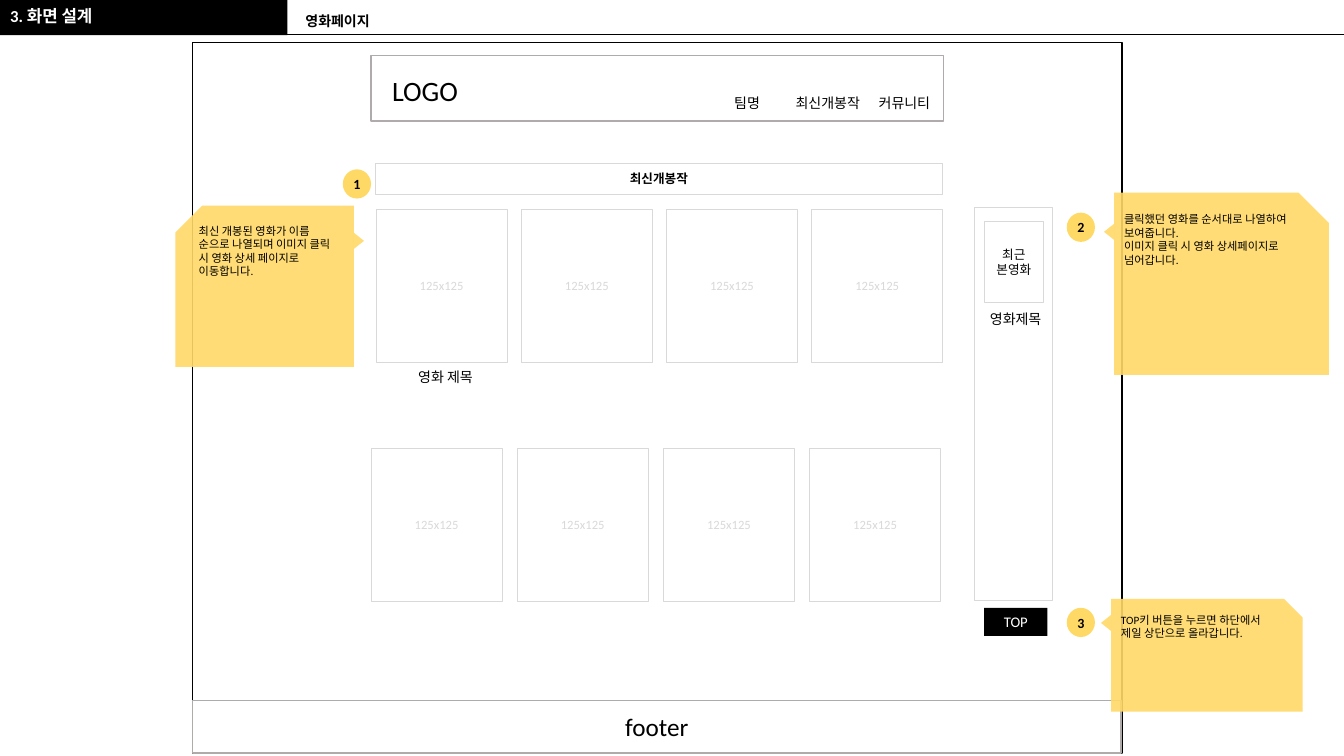
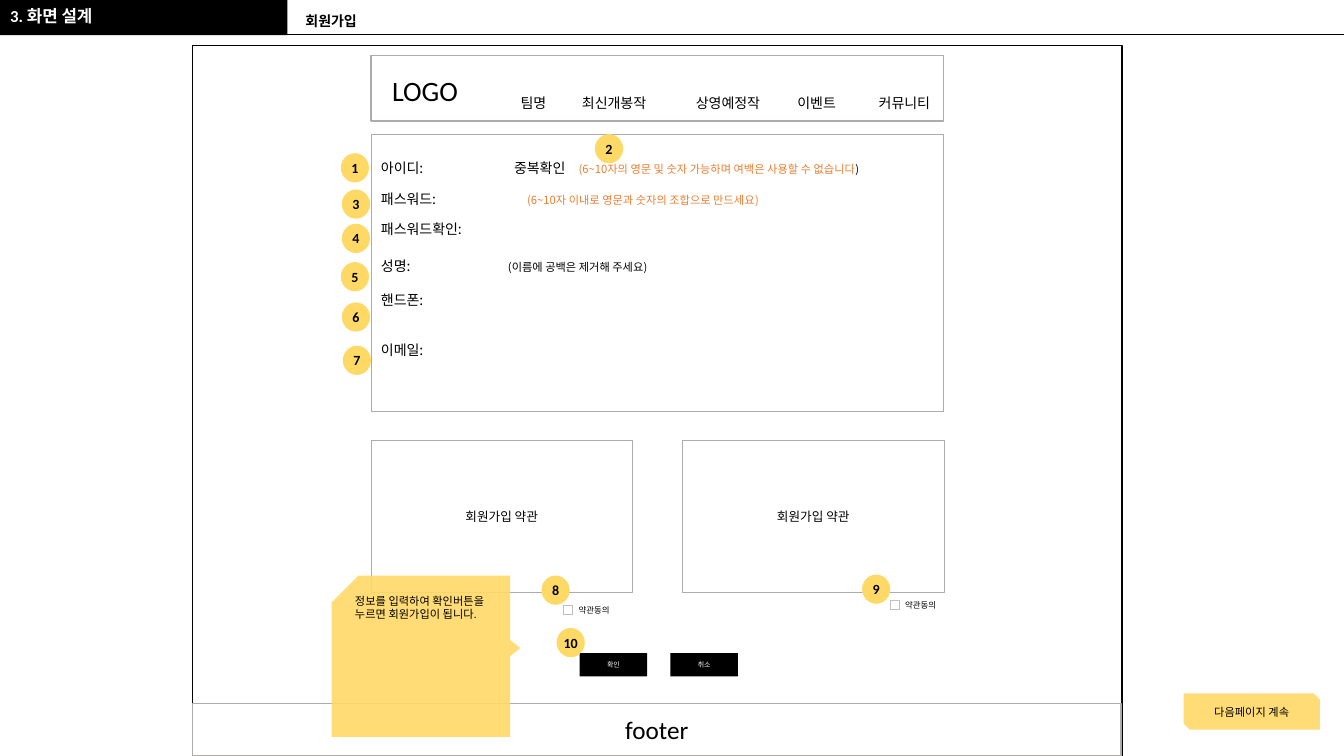
from lxml.etree import SubElement
from pptx import Presentation
from pptx.dml.color import RGBColor
from pptx.enum.shapes import MSO_CONNECTOR, MSO_SHAPE
from pptx.enum.text import MSO_ANCHOR, MSO_AUTO_SIZE, PP_ALIGN
from pptx.oxml.ns import qn
from pptx.util import Inches, Pt

BLACK = RGBColor(0x00, 0x00, 0x00)
WHITE = RGBColor(0xFF, 0xFF, 0xFF)
YELLOW = RGBColor(0xFF, 0xD9, 0x66)
ORANGE = RGBColor(0xED, 0x7D, 0x31)
GRAY = RGBColor(0xAF, 0xAB, 0xAB)
MID_GRAY = RGBColor(0xBF, 0xBF, 0xBF)
LIGHT_GRAY = RGBColor(0xD9, 0xD9, 0xD9)

LATIN = "Calibri"
KOREAN = "Noto Sans CJK KR"
SECTION = "3. 화면 설계"
SECTION_BOX = (0, 0.03, 2.85, 0.32)
PAGE_BOX = (2.93, 0.09, 8.57, 0.26)


class WireframeDeck:
    """Style of the wireframe slides and the slide being drawn."""

    def __init__(self):
        """Open a wide presentation and set up its layout."""
        self.prs = Presentation()
        self.prs.slide_width, self.prs.slide_height = Inches(13.33), Inches(7.5)
        self.layout = self.prs.slide_layouts[1]
        self.slide = None
        for placeholder in list(self.layout.placeholders):
            idx = placeholder.placeholder_format.idx
            if idx > 1:
                placeholder.element.getparent().remove(placeholder.element)
            else:
                box = SECTION_BOX if idx else PAGE_BOX
                (placeholder.left, placeholder.top,
                 placeholder.width, placeholder.height) = map(Inches, box)

    def new_slide(self, page_name):
        """Start a slide with its section and page name."""
        self.slide = self.prs.slides.add_slide(self.layout)
        if len(self.prs.slides) == 1:
            self.add_banner_to_layout()
        page, section = self.slide.placeholders
        self.heading(page, page_name, 10, BLACK)
        self.heading(section, SECTION, 12, WHITE)

    def add_banner_to_layout(self):
        """Put the black band and the rule on the shared layout."""
        band = self.shape((0, 0, 2.85, 0.35), BLACK)
        rule = self.slide.shapes.add_connector(
            MSO_CONNECTOR.STRAIGHT, Inches(2.76), Inches(0.34), Inches(13.33), Inches(0.34))
        rule.line.color.rgb = BLACK
        rule.line.width = Pt(0.5)
        SubElement(rule.element.spPr, qn("a:effectLst"))
        for part in (band, rule):
            self.layout.shapes.element.append(part.element)

    def heading(self, placeholder, text, size, color):
        """Fill a placeholder with one bold line without a bullet."""
        frame = placeholder.text_frame
        frame.auto_size = MSO_AUTO_SIZE.NONE
        frame.vertical_anchor = MSO_ANCHOR.TOP
        self.put_text(frame, [text], size, color, bold=True, align=PP_ALIGN.LEFT)
        paragraph = frame.paragraphs[0]
        paragraph.line_spacing = 0.9
        paragraph.space_before = Pt(10)
        properties = placeholder.element.find(".//" + qn("a:pPr"))
        properties.set("marL", "0")
        properties.set("indent", "0")
        SubElement(properties, qn("a:buNone"))

    def put_text(self, frame, paragraphs, size, color=BLACK, bold=False,
                 align=PP_ALIGN.CENTER, font=LATIN):
        """Fill in paragraphs, each a string or a list of (text, color) runs."""
        for index, content in enumerate(paragraphs):
            paragraph = frame.add_paragraph() if index else frame.paragraphs[0]
            paragraph.alignment = align
            runs = [(content, color)] if isinstance(content, str) else content
            for text, run_color in runs:
                run = paragraph.add_run()
                run.text = text
                run.font.size = Pt(size)
                run.font.bold = bold
                run.font.color.rgb = run_color
                run.font.name = font
                SubElement(run._r.get_or_add_rPr(), qn("a:ea")).set("typeface", KOREAN)

    def shape(self, box, fill=WHITE, line=None, width=0.25, kind=MSO_SHAPE.RECTANGLE,
              text=None, size=9, color=BLACK, bold=False):
        """Draw a preset shape with optional centred text."""
        shape = self.slide.shapes.add_shape(kind, *map(Inches, box))
        shape.shadow.inherit = False
        shape.fill.solid()
        shape.fill.fore_color.rgb = fill
        if line is None:
            shape.line.fill.background()
        else:
            shape.line.color.rgb = line
            shape.line.width = Pt(width)
        if text:
            shape.text_frame.word_wrap = True
            shape.text_frame.vertical_anchor = MSO_ANCHOR.MIDDLE
            self.put_text(shape.text_frame, [text], size, color, bold)
        return shape

    def label(self, left, top, content, size=10, width=1.0, height=0.27,
              align=PP_ALIGN.LEFT, font=LATIN):
        """Add one line of free text."""
        box = self.slide.shapes.add_textbox(*map(Inches, (left, top, width, height)))
        box.text_frame.word_wrap = True
        box.text_frame.vertical_anchor = MSO_ANCHOR.MIDDLE
        self.put_text(box.text_frame, [content], size, align=align, font=font)

    def sticker(self, box, kind, **text):
        """Draw a slightly transparent yellow shape."""
        sticker = self.shape(box, YELLOW, kind=kind, **text)
        color = sticker.element.spPr.find(qn("a:solidFill"))[0]
        SubElement(color, qn("a:alpha")).set("val", "90000")
        return sticker

    def note(self, box, paragraphs, pointer_offset, points_right=False):
        """Add a snipped note with a pointer on one side."""
        left, top, width, _ = box
        note = self.sticker(box, MSO_SHAPE.SNIP_1_RECTANGLE)
        if points_right:
            note.element.spPr.find(qn("a:xfrm")).set("flipH", "1")
        frame = note.text_frame
        frame.word_wrap = True
        frame.margin_right = Inches(0.15)
        frame.vertical_anchor = MSO_ANCHOR.TOP
        self.put_text(frame, paragraphs, 8, align=PP_ALIGN.LEFT)
        center = left + width + 0.05 if points_right else left - 0.05
        pointer = self.sticker((center - 0.08, top + pointer_offset - 0.05, 0.16, 0.1),
                               MSO_SHAPE.ISOSCELES_TRIANGLE)
        pointer.rotation = 90 if points_right else 270

    def badge(self, number, left, top):
        """Add a numbered yellow circle."""
        badge = self.shape((left, top, 0.28, 0.29), YELLOW, kind=MSO_SHAPE.OVAL,
                           text=str(number), size=10, bold=True)
        frame = badge.text_frame
        frame.word_wrap = False
        frame.margin_left = frame.margin_right = 0
        frame.margin_top = frame.margin_bottom = 0

    def button(self, box, text, size):
        """Add a black button."""
        self.shape(box, BLACK, text=text, size=size, color=WHITE)

    def site(self, top, menu):
        """Draw the page frame, its header with the menu, and its footer."""
        self.shape((1.91, top, 9.22, 7.05), line=BLACK, width=1)
        self.shape((1.91, top + 6.53, 9.21, 0.52), line=GRAY, width=1,
                   text="footer", size=18)
        self.shape((3.68, 0.55, 5.68, 0.65), line=GRAY, width=1)
        self.label(3.79, 0.68, "LOGO", size=20, width=1.07, height=0.44)
        for item, center in menu:
            self.label(center - 0.5, 0.89, item, align=PP_ALIGN.CENTER)

    def agreement(self, left, top):
        """Add a consent check box with its caption."""
        self.shape((left, top, 0.09, 0.09), line=MID_GRAY, width=0.75)
        self.label(left + 0.05, top - 0.06, "약관동의", size=6, width=0.6, height=0.2)


def draw_movie_page(deck):
    """Draw the movie list page."""
    deck.new_slide("영화페이지")
    deck.site(0.42, [("팀명", 7.41), ("최신개봉작", 8.21), ("커뮤니티", 8.97)])
    deck.shape((3.72, 1.62, 5.63, 0.31), line=LIGHT_GRAY, text="최신개봉작", bold=True)
    for first_left, top, pitch in ((3.73, 2.08, 1.44), (3.68, 4.45, 1.45)):
        for column in range(4):
            deck.shape((first_left + column * pitch, top, 1.3, 1.51), line=LIGHT_GRAY,
                       text="125x125", color=LIGHT_GRAY)
    deck.label(4.05, 3.6, "영화 제목")

    deck.shape((9.66, 2.06, 0.78, 3.9), line=LIGHT_GRAY)
    deck.shape((9.76, 2.19, 0.59, 0.81), line=LIGHT_GRAY, text="최근 본영화")
    deck.label(9.72, 3.03, "영화제목")
    deck.button((9.76, 6.03, 0.63, 0.28), "TOP", 10.5)

    deck.note((1.74, 2.04, 1.77, 1.6),
              ["최신 개봉된 영화가 이름 순으로 나열되며 이미지 클릭 시 영화 상세 페이지로 이동합니다."],
              0.35, points_right=True)
    deck.note((11.05, 1.91, 2.13, 1.81),
              ["클릭했던 영화를 순서대로 나열하여 보여줍니다.",
               "이미지 클릭 시 영화 상세페이지로 넘어갑니다."], 0.39)
    deck.note((11.02, 5.94, 1.9, 1.12),
              ["TOP키 버튼을 누르면 하단에서 제일 상단으로 올라갑니다."], 0.24)
    for number, (left, top) in enumerate(((3.4, 1.68), (10.58, 2.11), (10.58, 6.03)), 1):
        deck.badge(number, left, top)


def draw_sign_up_page(deck):
    """Draw the sign-up page."""
    deck.new_slide("회원가입")
    deck.site(0.45, [("팀명", 5.29), ("최신개봉작", 6.09), ("상영예정작", 7.22),
                     ("이벤트", 8.1), ("커뮤니티", 8.97)])
    deck.shape((3.68, 1.33, 5.68, 2.75), line=GRAY)
    fields = (("아이디:", 1.53), ("패스워드:", 1.84), ("패스워드확인:", 2.14),
              ("성명:", 2.5), ("핸드폰:", 2.84), ("이메일:", 3.34))
    for field, top in fields:
        deck.label(3.68, top, field, width=1.3, font=KOREAN)
    deck.label(5.0, 1.53, "중복확인", font=KOREAN)
    hints = (
        (5.64, 1.54, [("(6~10자의 영문 및 숫자 가능하며 여백은 사용할 수 없습니다", ORANGE),
                      (")", BLACK)]),
        (5.13, 1.85, [("(6~10자 이내로 영문과 숫자의 조합으로 만드세요)", ORANGE)]),
        (4.94, 2.51, "(이름에 공백은 제거해 주세요)"),
    )
    for left, top, hint in hints:
        deck.label(left, top, hint, size=8, width=3.6, font=KOREAN)

    for left in (3.68, 6.77):
        deck.shape((left, 4.37, 2.59, 1.51), line=GRAY, text="회원가입 약관")
    deck.agreement(5.59, 6.01)
    deck.agreement(8.83, 5.96)
    for left, action in ((5.75, "확인"), (6.65, "취소")):
        deck.button((left, 6.48, 0.67, 0.23), action, 5)

    deck.note((3.29, 5.71, 1.77, 1.6),
              ["정보를 입력하여 확인버튼을 누르면 회원가입이 됩니다."],
              0.72, points_right=True)
    deck.sticker((11.74, 6.88, 1.35, 0.36), MSO_SHAPE.SNIP_2_DIAG_RECTANGLE,
                 text="다음페이지 계속", size=8)
    badges = ((3.38, 1.52), (5.9, 1.33), (3.39, 1.88), (3.39, 2.22), (3.38, 2.6),
              (3.39, 3.0), (3.4, 3.43), (5.37, 5.71), (8.55, 5.7), (5.52, 6.23))
    for number, (left, top) in enumerate(badges, 1):
        deck.badge(number, left, top)


def main():
    """Build both slides and save them."""
    deck = WireframeDeck()
    draw_movie_page(deck)
    draw_sign_up_page(deck)
    deck.prs.save("out.pptx")


if __name__ == "__main__":
    main()
